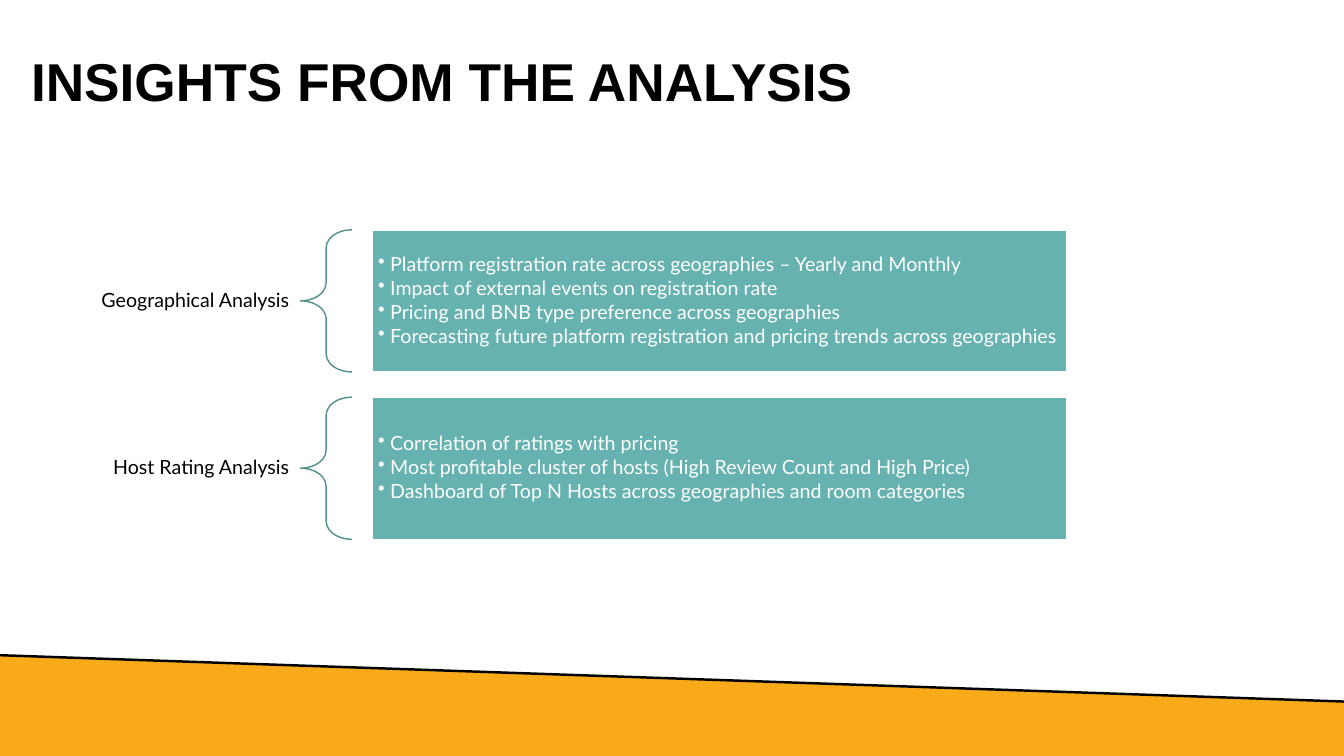
from lxml import etree
from pptx import Presentation, util as u
from pptx.dml.color import RGBColor
from pptx.enum import shapes, text
from pptx.oxml.ns import qn

W, H = 13.33, 7.5
TOP, ROW_H, PITCH = 2.28, 1.41, 1.66
LABEL_X, LABEL_W = 0.45, 2.53
BRACE_X, BRACE_W = LABEL_X + LABEL_W, 0.51
BOX_X, BOX_W = 3.69, 6.89
BAND_LEFT, BAND_RIGHT = 6.5, 6.96


def rgb(value):
    return RGBColor.from_string(value)


def write(tf, lines, size, font, color, after=0, inset=(0.1, 0.05), bold=False):
    tf.word_wrap = True
    tf.vertical_anchor = text.MSO_ANCHOR.MIDDLE
    tf.margin_left = tf.margin_right = u.Inches(inset[0])
    tf.margin_top = tf.margin_bottom = u.Inches(inset[1])
    tf.text = "\n".join(lines)
    for p in tf.paragraphs:
        p.alignment = text.PP_ALIGN.LEFT
        p.line_spacing = 0.9
        p.space_after = u.Pt(after)
        f = p.runs[0].font
        f.size, f.name, f.bold = u.Pt(size), font, bold
        f.color.rgb = rgb(color)


prs = Presentation()
prs.slide_width, prs.slide_height = u.Inches(W), u.Inches(H)
s = prs.slides.add_slide(prs.slide_layouts[6])

fb = s.shapes.build_freeform(u.Inches(0), u.Inches(BAND_LEFT), scale=1.0)
fb.add_line_segments([(u.Inches(x), u.Inches(y)) for x, y in
                      ((W, BAND_RIGHT), (W, H), (0, H))], close=True)
sp = fb.convert_to_shape()
sp.shadow.inherit = False
sp.fill.solid()
sp.fill.fore_color.rgb = rgb("F9AA19")
sp.line.fill.background()

edge = s.shapes.add_connector(shapes.MSO_CONNECTOR.STRAIGHT, 0, u.Inches(BAND_LEFT),
                              u.Inches(W), u.Inches(BAND_RIGHT))
edge.line.color.rgb = rgb("000000")
edge.line.width = u.Pt(1.75)
etree.SubElement(edge._element.spPr, qn("a:effectLst"))

title = s.shapes.add_textbox(u.Inches(0.21), u.Inches(0.11), u.Inches(11.5), u.Inches(1.45))
write(title.text_frame, ["INSIGHTS FROM THE ANALYSIS"], 38, "Arial", "000000", bold=True)

topics = [
    ("Geographical Analysis", [
        "Platform registration rate across geographies – Yearly and Monthly",
        "Impact of external events on registration rate",
        "Pricing and BNB type preference across geographies",
        "Forecasting future platform registration and pricing trends across geographies",
    ]),
    ("Host Rating Analysis", [
        "Correlation of ratings with pricing",
        "Most profitable cluster of hosts (High Review Count and High Price)",
        "Dashboard of Top N Hosts across geographies and room categories",
    ]),
]

for i, (name, points) in enumerate(topics):
    y, h = u.Inches(TOP + i * PITCH), u.Inches(ROW_H)

    label = s.shapes.add_textbox(u.Inches(LABEL_X), y, u.Inches(LABEL_W), h)
    write(label.text_frame, [name], 14, "Lato", "000000", 4.9, (0.11, 0.04))
    label.text_frame.paragraphs[0].alignment = text.PP_ALIGN.RIGHT

    brace = s.shapes.add_shape(shapes.MSO_SHAPE.LEFT_BRACE, u.Inches(BRACE_X), y,
                               u.Inches(BRACE_W), h)
    brace.shadow.inherit = False
    brace.adjustments[0], brace.adjustments[1] = 0.35, 0.5
    brace.fill.background()
    brace.line.color.rgb = rgb("528F8D")
    brace.line.width = u.Pt(1)

    box = s.shapes.add_shape(shapes.MSO_SHAPE.RECTANGLE, u.Inches(BOX_X), y,
                             u.Inches(BOX_W), h)
    box.shadow.inherit = False
    box.fill.solid()
    box.fill.fore_color.rgb = rgb("66B2B0")
    box.line.color.rgb = rgb("FFFFFF")
    box.line.width = u.Pt(1)
    write(box.text_frame, points, 14, "Lato", "FFFFFF", 2.1, (0.06, 0.06))
    for p in box.text_frame.paragraphs:
        p.level = 1
        pPr = p._p.get_or_add_pPr()
        pPr.set("marL", str(u.Inches(0.12)))
        pPr.set("indent", str(u.Inches(-0.12)))
        etree.SubElement(pPr, qn("a:buChar"), char="•")

prs.save("out.pptx")
